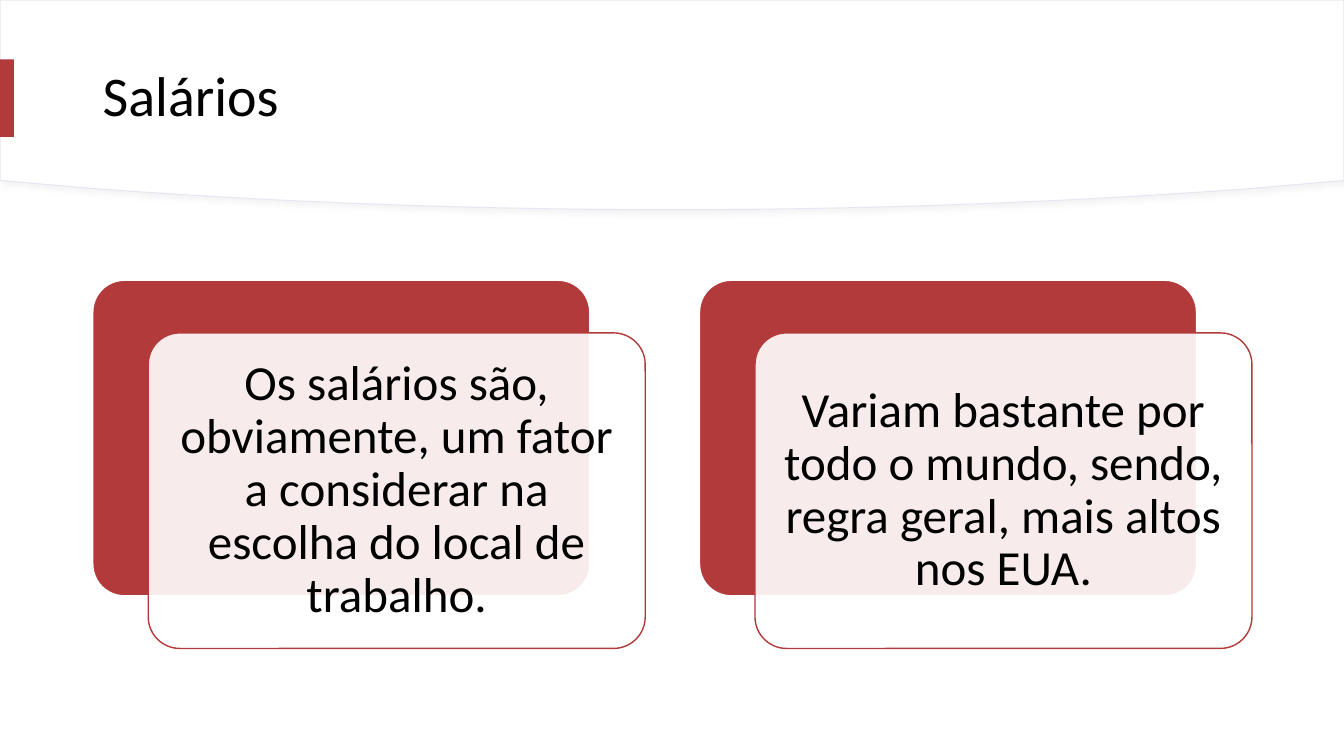
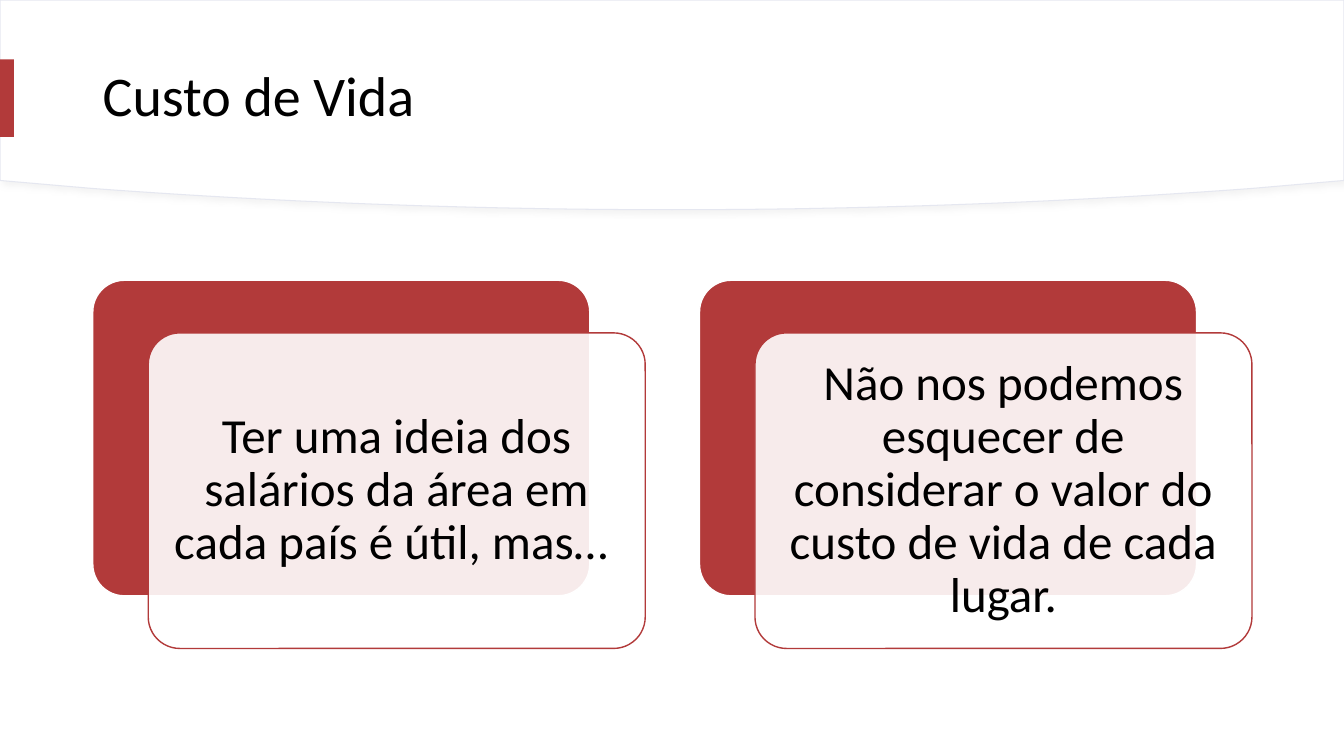
from dataclasses import dataclass

from lxml import etree
from pptx import Presentation
from pptx.dml.color import RGBColor
from pptx.enum.shapes import MSO_SHAPE
from pptx.enum.text import MSO_ANCHOR, PP_ALIGN
from pptx.oxml.ns import qn
from pptx.util import Pt

RECT, ROUND = MSO_SHAPE.RECTANGLE, MSO_SHAPE.ROUNDED_RECTANGLE
MIDDLE = MSO_ANCHOR.MIDDLE
LEFT, CENTER = PP_ALIGN.LEFT, PP_ALIGN.CENTER


@dataclass(frozen=True)
class Theme:
    red: str = "B23A3A"
    white: str = "FFFFFF"
    text: str = "000000"
    edge: str = "E5E7F0"
    shadow: str = "D9D9D9"
    font: str = "Calibri"
    title_size: float = 40
    card_size: float = 35


# Page and card grid, in points
WIDTH, HEIGHT = 960, 540
CARD_LEFT, CARD_TOP, CARD_W, CARD_H = 66.3, 200.2, 355, 225.4
CARD_PITCH = 433.4
FRONT_DX, FRONT_DY = 39.6, 37.6

# Right half of the header curve: corner, then four Bezier control points
CORNER = (WIDTH, 128.9)
CURVE = ((894.2, 134.6), (766.8, 144), (627.1, 149.8), (WIDTH / 2, 149.8))
CURVE_STEPS = 24


def bezier(points, t):
    weights = ((1 - t) ** 3, 3 * t * (1 - t) ** 2, 3 * t * t * (1 - t), t ** 3)
    return tuple(sum(w * p[i] for w, p in zip(weights, points)) for i in (0, 1))


class Deck:
    def __init__(self, theme):
        self.theme = theme
        self.prs = Presentation()
        self.prs.slide_width, self.prs.slide_height = Pt(WIDTH), Pt(HEIGHT)
        self.slide = None

    # Shared formatting
    def style(self, sp, fill, line=None, width=1):
        sp.shadow.inherit = False
        sp.fill.solid()
        sp.fill.fore_color.rgb = RGBColor.from_string(fill)
        if line:
            sp.line.color.rgb = RGBColor.from_string(line)
            sp.line.width = Pt(width)
        else:
            sp.line.fill.background()

    def shape(self, kind, x, y, w, h, fill, line=None):
        sp = self.slide.shapes.add_shape(kind, Pt(x), Pt(y), Pt(w), Pt(h))
        self.style(sp, fill, line)
        return sp

    def add_text(self, sp, text, size, align):
        tf = sp.text_frame
        tf.word_wrap = True
        tf.vertical_anchor = MIDDLE
        p = tf.paragraphs[0]
        p.alignment, p.line_spacing = align, 0.9
        r = p.add_run()
        r.text = text
        r.font.name, r.font.size = self.theme.font, Pt(size)
        r.font.color.rgb = RGBColor.from_string(self.theme.text)
        return tf

    # Header: curved band, title and red marker
    def header_band(self):
        right = [CORNER] + [bezier(CURVE, i / CURVE_STEPS)
                            for i in range(CURVE_STEPS + 1)]
        left = [(WIDTH - x, y) for x, y in reversed(right[:-1])]
        outline = [(WIDTH, 0)] + right + left
        builder = self.slide.shapes.build_freeform(0, 0)
        builder.add_line_segments([(Pt(x), Pt(y)) for x, y in outline])
        sp = builder.convert_to_shape()
        self.style(sp, self.theme.white, self.theme.edge, 0.75)
        effects = sp.element.spPr.find(qn("a:effectLst"))
        shadow = etree.SubElement(effects, qn("a:outerShdw"), blurRad=str(Pt(4)),
                                  dist=str(Pt(3)), dir=str(45 * 60000))
        color = etree.SubElement(shadow, qn("a:srgbClr"), val=self.theme.shadow)
        etree.SubElement(color, qn("a:alpha"), val="30000")
        return sp

    def start_slide(self, text):
        self.slide = self.prs.slides.add_slide(self.prs.slide_layouts[5])
        title = self.slide.shapes.title
        title.left, title.top = Pt(66.2), Pt(20)
        title.width, title.height = Pt(828), Pt(100)
        self.add_text(title, text, self.theme.title_size, LEFT)
        title.element.addprevious(self.header_band().element)
        self.shape(RECT, 0, 42.4, 10, 55.4, self.theme.red)

    # Card: red back plate with a translucent front plate holding the text
    def card(self, column, text):
        x = CARD_LEFT + column * CARD_PITCH
        back = self.shape(ROUND, x, CARD_TOP, CARD_W, CARD_H,
                          self.theme.red, self.theme.white)
        front = self.shape(ROUND, x + FRONT_DX, CARD_TOP + FRONT_DY,
                           CARD_W, CARD_H, self.theme.white, self.theme.red)
        for plate in (back, front):
            plate.adjustments[0] = 0.1
        color = front.element.spPr.find(qn("a:solidFill")).find(qn("a:srgbClr"))
        etree.SubElement(color, qn("a:alpha"), val="90000")
        tf = self.add_text(front, text, self.theme.card_size, CENTER)
        tf.margin_left = tf.margin_right = Pt(10.8)
        tf.margin_top = tf.margin_bottom = Pt(10.8)


SLIDES = (
    ("Salários", (
        "Os salários são, obviamente, um fator a considerar na escolha do local "
        "de trabalho.",
        "Variam bastante por todo o mundo, sendo, regra geral, mais altos nos EUA.",
    )),
    ("Custo de Vida", (
        "Ter uma ideia dos salários da área em cada país é útil, mas… ",
        "Não nos podemos esquecer de considerar o valor do custo de vida de cada "
        "lugar.",
    )),
)


def main():
    deck = Deck(Theme())
    for title, cards in SLIDES:
        deck.start_slide(title)
        for column, text in enumerate(cards):
            deck.card(column, text)
    deck.prs.save("out.pptx")


if __name__ == "__main__":
    main()
